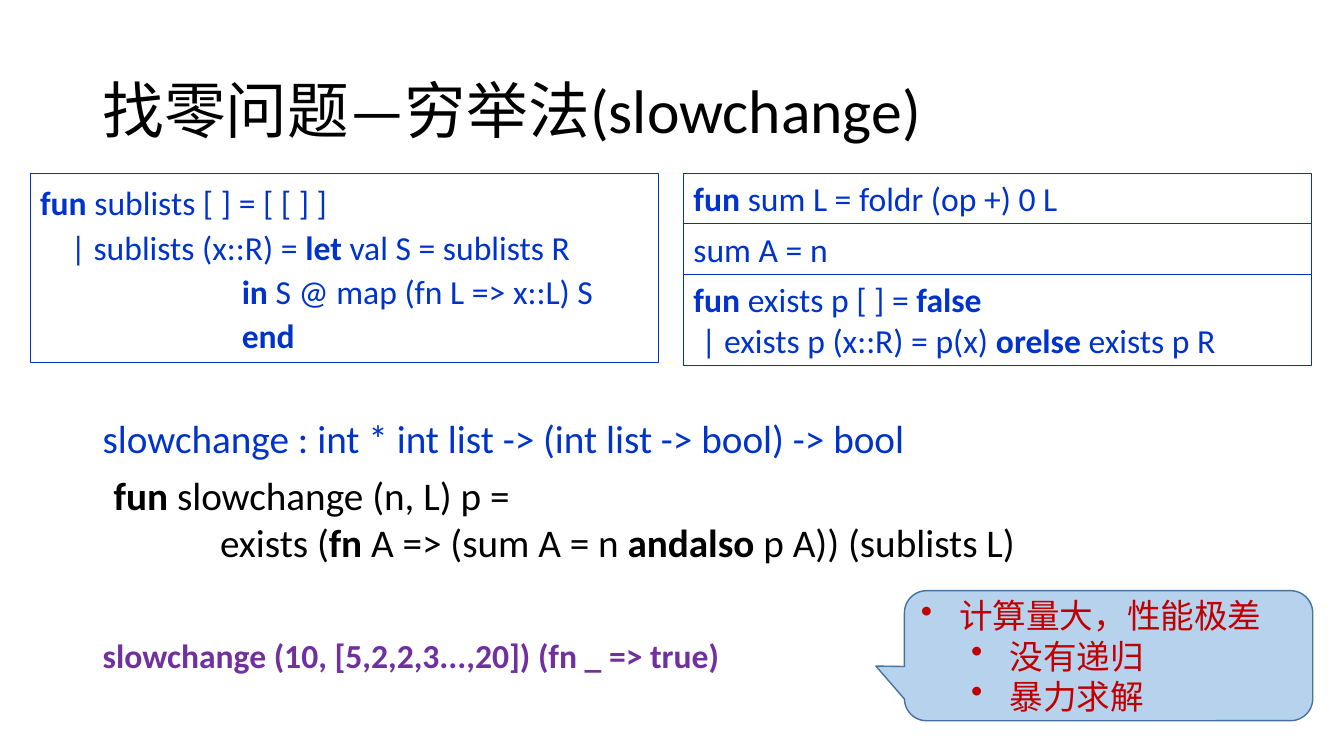
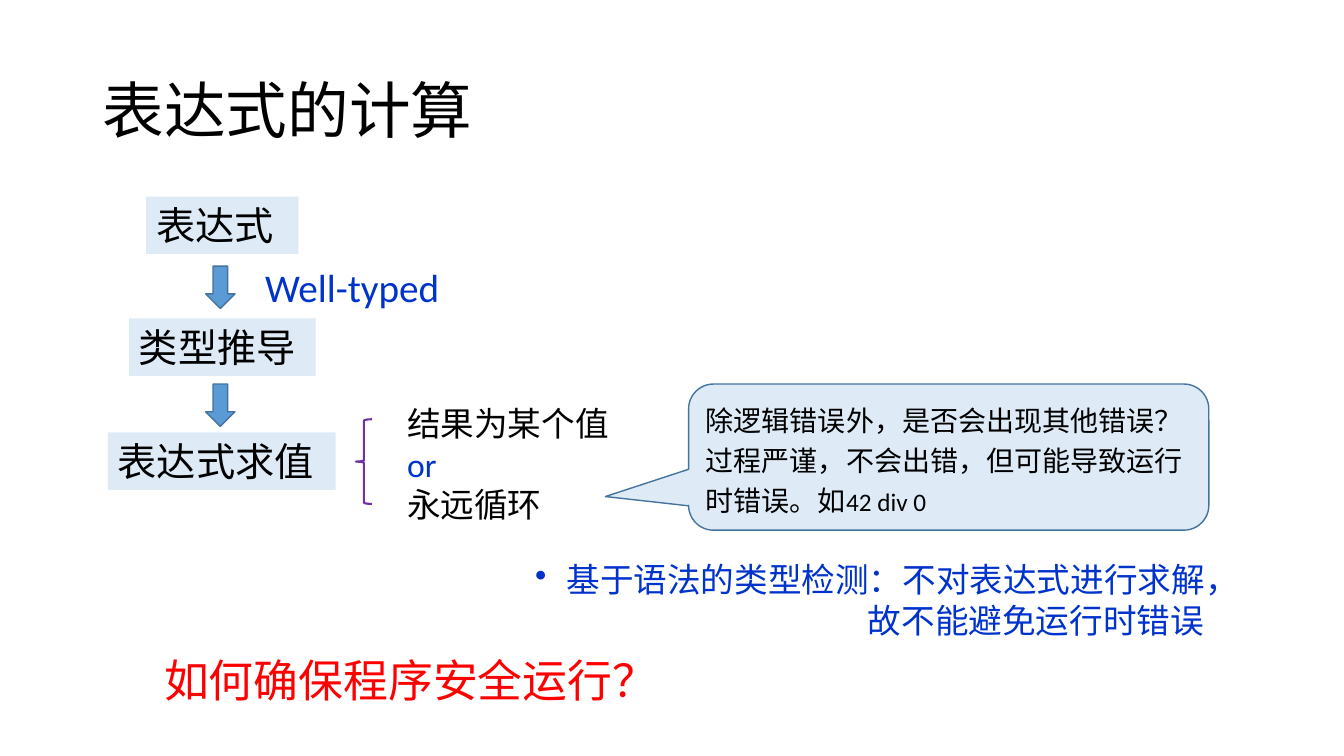
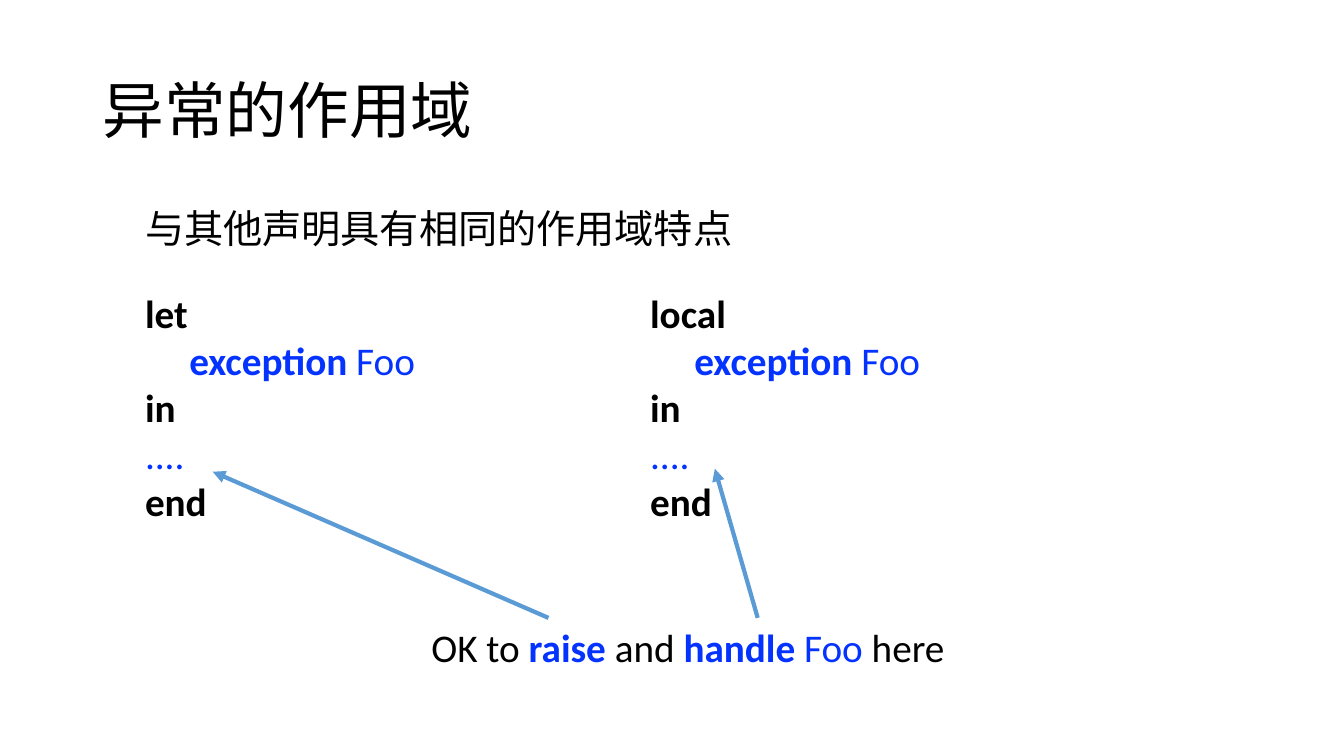
from lxml.etree import SubElement
from pptx import Presentation
from pptx.dml.color import RGBColor
from pptx.enum.lang import MSO_LANGUAGE_ID
from pptx.enum.shapes import MSO_CONNECTOR, MSO_SHAPE
from pptx.enum.text import MSO_ANCHOR, PP_ALIGN
from pptx.oxml.ns import qn
from pptx.util import Emu, Pt

# Shared style: 100 px to the inch
PX = 9144
LATIN, CHINESE = "Calibri", "Noto Sans CJK SC"
EAST_ASIAN = LATIN  # keeps Chinese lines at the Latin line height
BLACK, BLUE, CODE_BLUE = "000000", "0033CC", "0433FF"
RED, DARK_RED, PURPLE = "FF0000", "C00000", "7030A0"
PALE, LIGHT, ACCENT, EDGE = "DEEBF6", "B6D2EC", "5B9BD5", "43739E"
TITLE_BOX = (92, 40, 1150, 145)
STEP_HEIGHT = 57


def px(length):
    return Emu(length * PX)


def color(value):
    return RGBColor.from_string(value)


def set_values(target, values):
    for name, value in values.items():
        setattr(target, name, value)


def line(*runs, left=0, hang=0, bullet=False, level=0):
    """One paragraph; a run is a text or (text, format), with ** around bold words."""
    return {"runs": runs, "left": left, "hang": hang, "bullet": bullet, "level": level}


def add_run(paragraph, text, bold, ink, size, font):
    run = paragraph.add_run()
    run.text = text
    set_values(run.font, {"name": font, "size": Pt(size), "bold": bold,
                          "language_id": MSO_LANGUAGE_ID.SIMPLIFIED_CHINESE})
    run.font.color.rgb = color(ink)
    SubElement(run.font._element, qn("a:ea")).set("typeface", EAST_ASIAN)


def write(shape, lines, size, ink=BLACK, font=LATIN, spacing=1.0, anchor=MSO_ANCHOR.TOP):
    frame = shape.text_frame
    set_values(frame, {"word_wrap": True, "vertical_anchor": anchor})
    for index, item in enumerate(lines):
        paragraph = frame.paragraphs[0] if index == 0 else frame.add_paragraph()
        properties = paragraph._p.get_or_add_pPr()
        properties.set("marL", str(px(item["left"])))
        properties.set("indent", str(px(-item["hang"])))
        if item["bullet"]:
            SubElement(properties, qn("a:buChar")).set("char", "•")
        set_values(paragraph, {"alignment": PP_ALIGN.LEFT, "level": item["level"],
                               "line_spacing": spacing})
        for run in item["runs"]:
            text, changes = (run, {}) if isinstance(run, str) else run
            style = {"ink": ink, "size": size, "font": font, **changes}
            for part, words in enumerate(text.split("**")):
                if words:
                    add_run(paragraph, words, part % 2 == 1, **style)


def add_text(slide, box, lines, size, **style):
    shape = slide.shapes.add_textbox(*map(px, box))
    write(shape, lines, size, **style)
    return shape


def add_figure(slide, kind, box, fill=None, edge=None, width=1):
    shape = slide.shapes.add_shape(kind, *map(px, box))
    shape.shadow.inherit = False
    if fill:
        shape.fill.solid()
        shape.fill.fore_color.rgb = color(fill)
    else:
        shape.fill.background()
    if edge:
        shape.line.color.rgb = color(edge)
        shape.line.width = Pt(width)
    else:
        shape.line.fill.background()
    return shape


def add_callout(slide, box, tip, fill, lines, size, **style):
    shape = add_figure(slide, MSO_SHAPE.ROUNDED_RECTANGULAR_CALLOUT, box, fill, EDGE)
    for index, value in enumerate((*tip, 0.17)):
        shape.adjustments[index] = value
    write(shape, lines, size, anchor=MSO_ANCHOR.MIDDLE, **style)


def add_arrow(slide, start, end):
    arrow = slide.shapes.add_connector(MSO_CONNECTOR.STRAIGHT, *map(px, start + end))
    arrow.line.color.rgb = color(ACCENT)
    arrow.line.width = Pt(3)
    SubElement(arrow.line._get_or_add_ln(), qn("a:tailEnd")).set("type", "triangle")
    SubElement(arrow._element.spPr, qn("a:effectLst"))
    return arrow


def add_titled_slide(presentation, title):
    slide = presentation.slides.add_slide(presentation.slide_layouts[6])
    add_text(slide, TITLE_BOX, [line(title)], 44, spacing=0.9, anchor=MSO_ANCHOR.MIDDLE)
    return slide


def add_code_stack(slide, left, top, width, blocks, spacing=1.0):
    """Bordered code boxes, each directly below the one before."""
    for height, lines in blocks:
        shape = add_figure(slide, MSO_SHAPE.RECTANGLE, (left, top, width, height),
                           edge=BLUE, width=0.75)
        write(shape, lines, 24, ink=BLUE, spacing=spacing)
        top += height


def build_slowchange(presentation):
    slide = add_titled_slide(presentation, "找零问题—穷举法(slowchange)")
    # Helper functions
    add_code_stack(slide, 30, 172, 623, [(188, [
        line("**fun **sublists [ ] = [ [ ] ]"),
        line("    | sublists (x::R) = **let **val S = sublists R"),
        line("**in **S @ map (fn L => x::L) S", left=200),
        line("**end**", left=200),
    ])], spacing=1.1)
    add_code_stack(slide, 678, 172, 623, [
        (50, [line("**fun **sum L = foldr (op +) 0 L")]),
        (50, [line("sum A = n")]),
        (91, [line("**fun** exists p [ ] = **false**"),
              line(" | exists p (x::R) = p(x) **orelse** exists p R")]),
    ])
    # Signature, definition and sample call
    add_text(slide, (92, 406, 1032, 57),
             [line("slowchange : int * int list -> (int list -> bool) -> bool")], 28, ink=BLUE)
    add_text(slide, (103, 463, 1110, 104), [
        line("**fun **slowchange (n, L) p ="),
        line("            exists (**fn** A => (sum A = n **andalso** p A)) (sublists L)"),
    ], 28)
    add_text(slide, (92, 625, 953, 50),
             [line("**slowchange (10, [5,2,2,3...,20]) (fn _ => true)**")], 24, ink=PURPLE)
    # Verdict
    add_callout(slide, (897, 586, 405, 129), (-0.57, 0.08), LIGHT, [
        line("计算量大，性能极差", left=38, hang=38, bullet=True),
        *(line(text, left=88, hang=38, bullet=True, level=1) for text in ("没有递归", "暴力求解")),
    ], 24, ink=DARK_RED, font=CHINESE)


def add_flow(slide, center, top):
    """Three centred steps with arrows between them."""
    for text, width, offset in (("表达式", 151, 0), ("类型推导", 185, 121), ("表达式求值", 226, 234)):
        box = (center - width // 2, top + offset, width, STEP_HEIGHT)
        step = add_figure(slide, MSO_SHAPE.RECTANGLE, box, PALE)
        write(step, [line(text)], 28, font=CHINESE)
    for offset in (69, 186):
        add_figure(slide, MSO_SHAPE.DOWN_ARROW, (center - 16, top + offset, 29, 42), ACCENT, EDGE)
    add_text(slide, (center + 33, top + 61, 231, STEP_HEIGHT), [line("Well-typed")], 28, ink=BLUE)


def add_outcomes(slide, left, top):
    """Brace with the two possible results."""
    add_figure(slide, MSO_SHAPE.LEFT_BRACE, (left, top + 21, 16, 84), edge=PURPLE, width=1.5)
    add_text(slide, (left + 41, top, 254, 131), [
        line("结果为某个值"),
        line(("or", {"font": LATIN, "ink": BLUE})),
        line("永远循环"),
    ], 24, font=CHINESE)


def build_evaluation(presentation):
    slide = add_titled_slide(presentation, "表达式的计算")
    add_flow(slide, 220, 195)
    add_outcomes(slide, 353, 395)
    # Runtime errors
    add_callout(slide, (683, 381, 516, 145), (-0.66, 0.27), PALE, [
        line("除逻辑错误外，是否会出现其他错误？"),
        line("过程严谨，不会出错，但可能导致运行时错误。如", ("42 div 0", {"size": 18})),
    ], 20, spacing=1.2)
    add_text(slide, (521, 550, 732, 91), [
        line("基于语法的类型检测：不对表达式进行求解，", left=31, hang=31, bullet=True),
        line("故不能避免运行时错误", left=330),
    ], 24, ink=BLUE, font=CHINESE)
    # Closing question
    add_text(slide, (153, 643, 530, 64), [line("如何确保程序安全运行？")], 32, ink=RED, font=CHINESE)


def add_scope(slide, left, top, keyword):
    blue = {"ink": CODE_BLUE}
    add_text(slide, (left, top, 353, 246), [
        line(f"**{keyword}**"),
        line(("     **exception** Foo", blue)),
        line("**in**"),
        line(("....", blue)),
        line("**end**"),
    ], 28)


def build_exception_scope(presentation):
    slide = add_titled_slide(presentation, "异常的作用域")
    add_text(slide, (134, 174, 1150, 80), [line("与其他声明具有相同的作用域特点")], 28,
             font=CHINESE, spacing=1.5)
    for left, keyword in ((134, "let"), (635, "local")):
        add_scope(slide, left, 282, keyword)
    # Caption pointing at both bodies
    blue = {"ink": CODE_BLUE}
    caption = add_text(slide, (418, 613, 667, 57), [
        line("OK to ", ("**raise **", blue), "and ", ("**handle** Foo ", blue), "here"),
    ], 28)
    add_arrow(slide, (544, 613), (211, 468))
    add_arrow(slide, (751, 613), (709, 465)).begin_connect(caption, 0)


def main():
    presentation = Presentation()
    set_values(presentation, {"slide_width": px(1333), "slide_height": px(750)})
    for build in (build_slowchange, build_evaluation, build_exception_scope):
        build(presentation)
    presentation.save("out.pptx")


if __name__ == "__main__":
    main()
